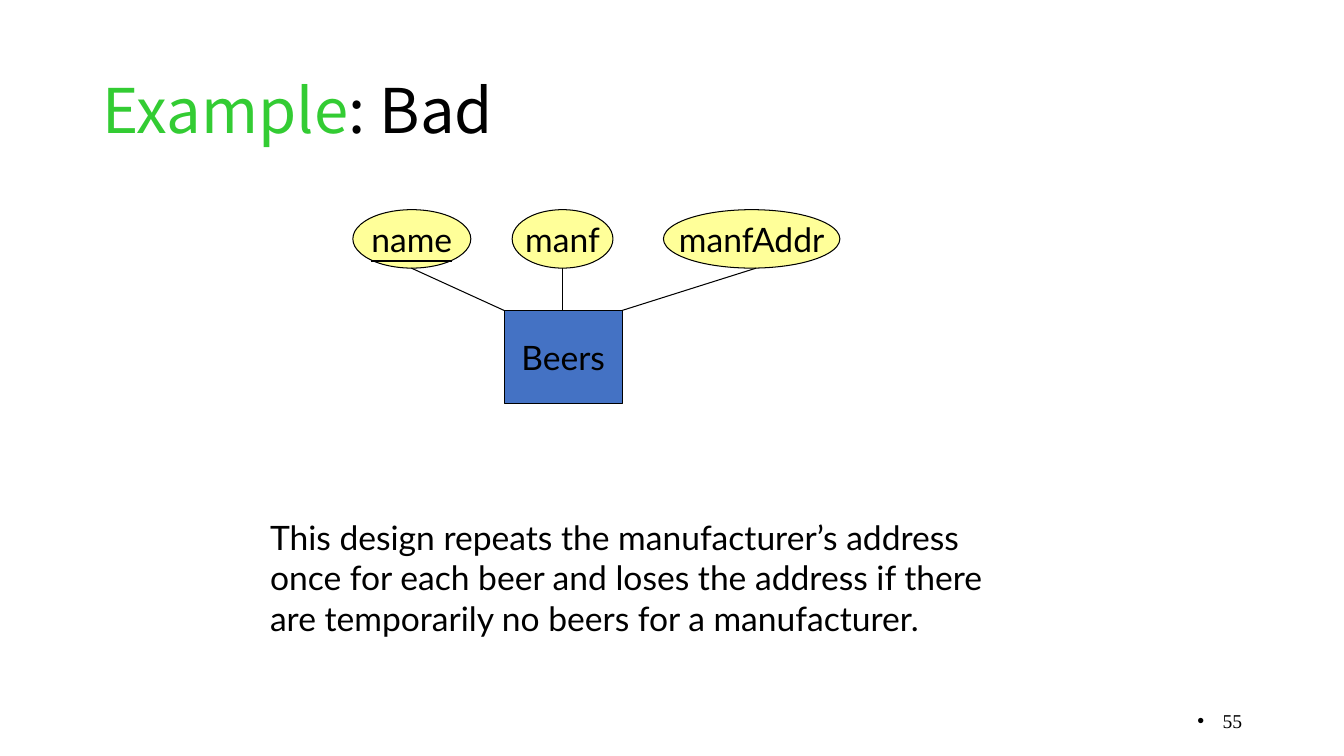
from dataclasses import dataclass

from lxml.etree import SubElement
from pptx import Presentation
from pptx.dml.color import RGBColor
from pptx.enum.shapes import MSO_CONNECTOR, MSO_SHAPE
from pptx.enum.text import MSO_ANCHOR, PP_ALIGN
from pptx.oxml.ns import qn
from pptx.util import Inches, Pt


@dataclass(frozen=True)
class Theme:
    ink: RGBColor = RGBColor.from_string("000000")
    accent: RGBColor = RGBColor.from_string("33CC33")
    entity: RGBColor = RGBColor.from_string("4472C4")
    attribute: RGBColor = RGBColor.from_string("FFFF99")
    title_font: str = "Noto Sans CJK SC"
    body_font: str = "Lato"
    number_font: str = "Times New Roman"
    title_size: int = 44
    body_size: int = 24
    number_size: int = 14
    line_width: float = 0.75


class DiagramSlide:
    def __init__(self, slide, theme):
        self.slide = slide
        self.theme = theme

    def style(self, paragraph, name, size):
        paragraph.font.name = name
        paragraph.font.size = Pt(size)
        paragraph.font.color.rgb = self.theme.ink

    def text_box(self, left, top, width, height, anchor=MSO_ANCHOR.TOP):
        """Add a wrapping text box and return its first paragraph."""
        box = self.slide.shapes.add_textbox(
            Inches(left), Inches(top), Inches(width), Inches(height))
        box.text_frame.word_wrap = True
        box.text_frame.vertical_anchor = anchor
        return box.text_frame.paragraphs[0]

    def title(self, lead, rest):
        paragraph = self.text_box(0.92, 0.4, 11.5, 1.45, MSO_ANCHOR.MIDDLE)
        paragraph.line_spacing = 0.9
        lead_run = paragraph.add_run()
        lead_run.text = lead
        paragraph.add_run().text = rest
        self.style(paragraph, self.theme.title_font, self.theme.title_size)
        lead_run.font.color.rgb = self.theme.accent

    def note(self, text):
        paragraph = self.text_box(2.58, 5.08, 7.52, 1.31)
        paragraph.text = text
        self.style(paragraph, self.theme.body_font, self.theme.body_size)

    def page_number(self, number):
        paragraph = self.text_box(9.42, 6.95, 3, 0.4, MSO_ANCHOR.MIDDLE)
        paragraph.text = str(number)
        paragraph.alignment = PP_ALIGN.RIGHT
        properties = paragraph._p.get_or_add_pPr()
        properties.set("marL", str(Inches(0.25)))
        properties.set("indent", str(-Inches(0.25)))
        SubElement(properties, qn("a:buFont")).set("typeface", "Arial")
        SubElement(properties, qn("a:buChar")).set("char", "•")
        self.style(paragraph, self.theme.number_font, self.theme.number_size)

    def node(self, kind, text, left, top, width, height, fill, is_key=False):
        """Add an entity or attribute; a key attribute is underlined."""
        shape = self.slide.shapes.add_shape(
            kind, Inches(left), Inches(top), Inches(width), Inches(height))
        shape.shadow.inherit = False
        shape.fill.solid()
        shape.fill.fore_color.rgb = fill
        shape.line.color.rgb = self.theme.ink
        shape.line.width = Pt(self.theme.line_width)
        frame = shape.text_frame
        frame.word_wrap = False
        frame.vertical_anchor = MSO_ANCHOR.MIDDLE
        paragraph = frame.paragraphs[0]
        paragraph.text = text
        paragraph.alignment = PP_ALIGN.CENTER
        self.style(paragraph, self.theme.body_font, self.theme.body_size)
        if is_key:
            paragraph.runs[0].font.underline = True

    def link(self, start_x, start_y, end_x, end_y):
        connector = self.slide.shapes.add_connector(
            MSO_CONNECTOR.STRAIGHT, Inches(start_x), Inches(start_y),
            Inches(end_x), Inches(end_y))
        connector.line.color.rgb = self.theme.ink
        connector.line.width = Pt(self.theme.line_width)
        SubElement(connector._element.spPr, qn("a:effectLst"))


def main():
    presentation = Presentation()
    presentation.slide_width = Inches(13.33)
    presentation.slide_height = Inches(7.5)
    theme = Theme()
    diagram = DiagramSlide(
        presentation.slides.add_slide(presentation.slide_layouts[6]), theme)

    diagram.page_number(55)
    diagram.title("Example", ": Bad")

    entity_left, entity_top, entity_width = 5, 3.08, 1.17
    diagram.node(MSO_SHAPE.RECTANGLE, "Beers", entity_left, entity_top,
                 entity_width, 0.92, theme.entity)

    attribute_top, attribute_height = 2.08, 0.58
    attributes = [  # text, left, width, link start, link end, key
        ("name", 3.5, 1.17, 4.08, entity_left, True),
        ("manf", 5.08, 1, 5.58, 5.58, False),
        ("manfAddr", 6.58, 1.75, 7.5, entity_left + entity_width, False),
    ]
    for text, left, width, start_x, end_x, is_key in attributes:
        diagram.node(MSO_SHAPE.OVAL, text, left, attribute_top, width,
                     attribute_height, theme.attribute, is_key)
        diagram.link(start_x, attribute_top + attribute_height,
                     end_x, entity_top)

    diagram.note("This design repeats the manufacturer’s address once for "
                 "each beer and loses the address if there are temporarily "
                 "no beers for a manufacturer.")
    presentation.save("out.pptx")


if __name__ == "__main__":
    main()
